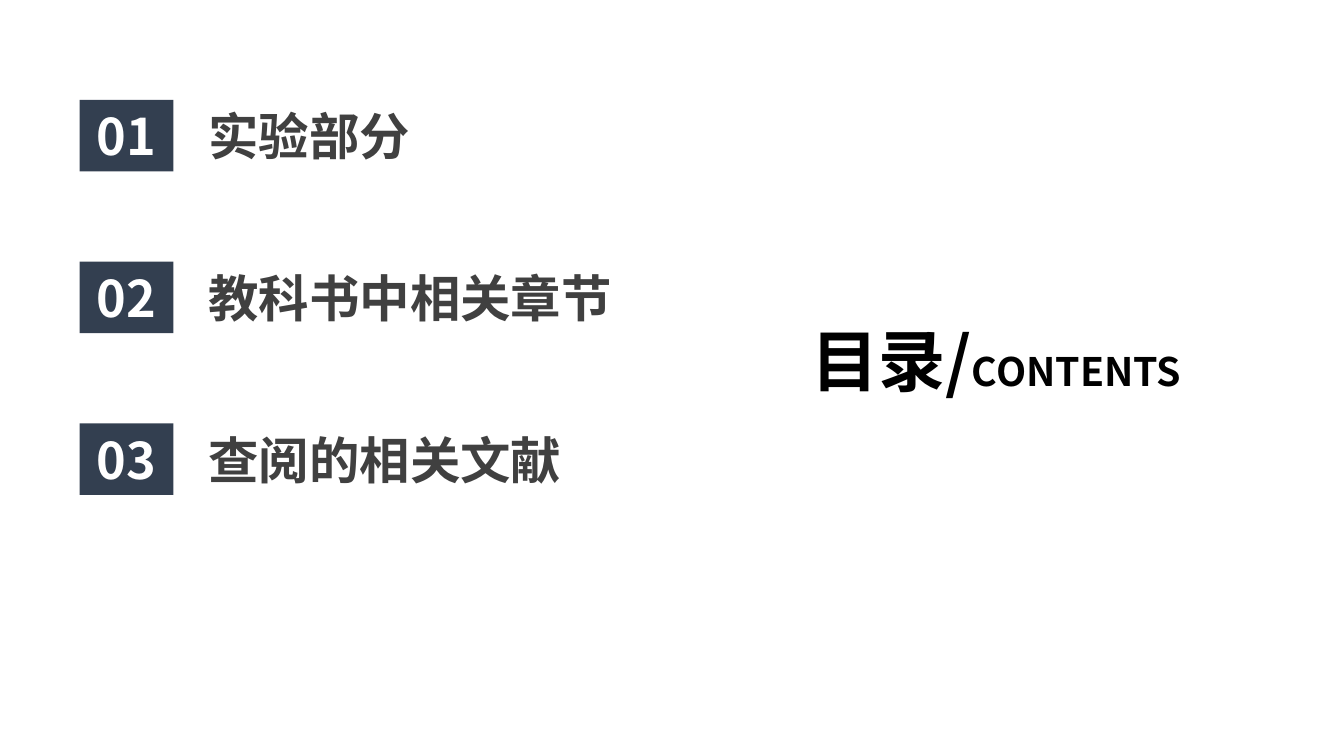
"""Build the contents slide with three numbered sections."""
from lxml import etree
from pptx import Presentation
from pptx.dml.color import RGBColor
from pptx.enum import shapes, text
from pptx.oxml import ns
from pptx.util import Inches, Pt

COLORS = {"badge": "333F50", "number": "FFFFFF", "section": "404040", "title": "000000"}
FONT = "Noto Sans CJK SC"
SECTIONS = ["实验部分", "教科书中相关章节", "查阅的相关文献"]


def style(font, size, color):
    font.name, font.size, font.bold = FONT, Pt(size), True
    font.color.rgb = RGBColor.from_string(COLORS[color])
    latin = font._element.find(ns.qn("a:latin"))
    ea = etree.Element(ns.qn("a:ea"), typeface=FONT)
    latin.addnext(ea)


def paragraph(sp, align):
    tf = sp.text_frame
    tf.word_wrap = True
    tf.vertical_anchor = text.MSO_ANCHOR.MIDDLE
    p = tf.paragraphs[0]
    p.alignment = align
    return p


prs = Presentation()
prs.slide_width, prs.slide_height = Inches(13.33), Inches(7.5)
s = prs.slides.add_slide(prs.slide_layouts[6])

title = s.shapes.add_textbox(Inches(7.95), Inches(3.11), Inches(4.14), Inches(0.91))
p = paragraph(title, text.PP_ALIGN.JUSTIFY)
for words, size in [("目录/", 48), ("CONTENTS", 28)]:
    r = p.add_run()
    r.text = words
    style(r.font, size, "title")

for i, section in enumerate(SECTIONS):
    top = Inches(0.99 + 1.605 * i)
    badge = s.shapes.add_shape(shapes.MSO_SHAPE.RECTANGLE, Inches(0.79), top, Inches(0.93), Inches(0.71))
    badge.shadow.inherit = False
    badge.fill.solid()
    badge.fill.fore_color.rgb = RGBColor.from_string(COLORS["badge"])
    badge.line.fill.background()
    p = paragraph(badge, text.PP_ALIGN.CENTER)
    p.text = f"{i + 1:02d}"
    style(p.font, 36, "number")

    label = s.shapes.add_textbox(Inches(1.97), top, Inches(5), Inches(0.71))
    p = paragraph(label, text.PP_ALIGN.LEFT)
    p.text = section
    style(p.font, 36, "section")

prs.save("out.pptx")
